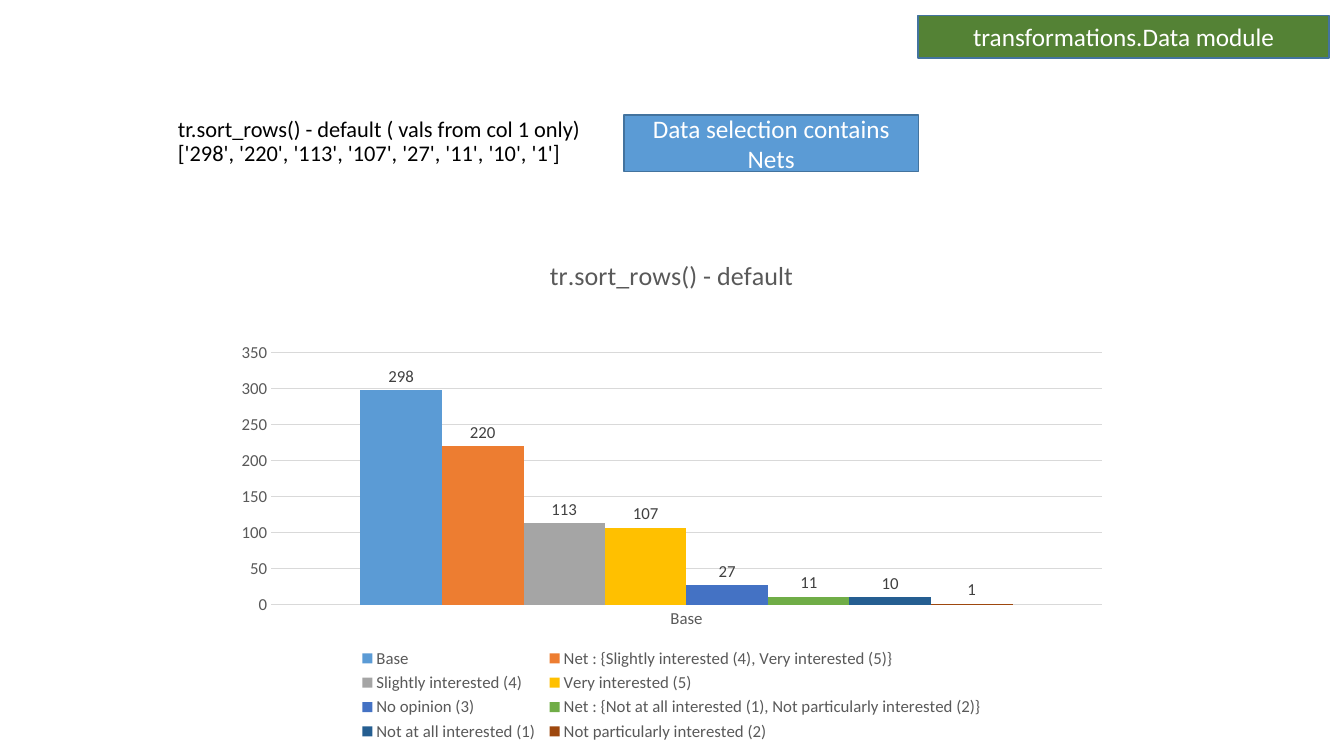
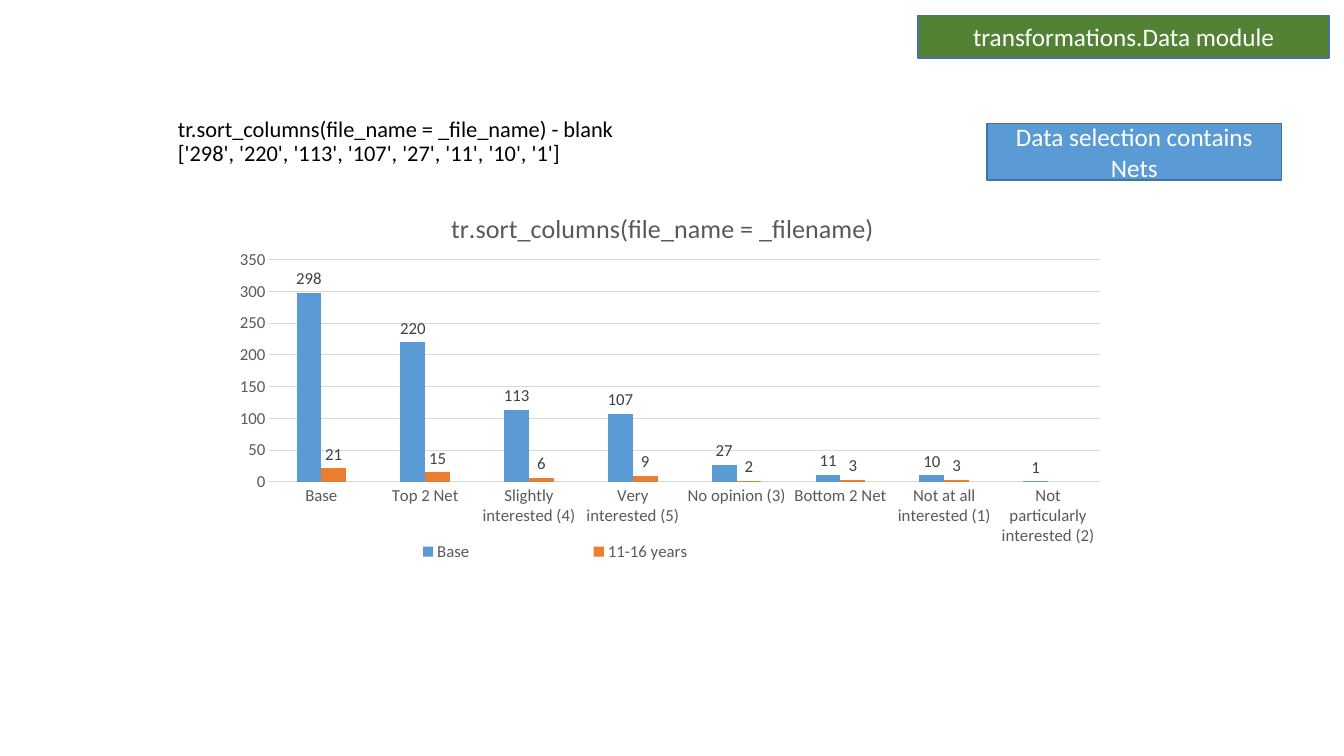
from dataclasses import dataclass
from pptx import Presentation
from pptx.chart.data import CategoryChartData
from pptx.dml.color import RGBColor
from pptx.enum.chart import XL_CHART_TYPE, XL_LABEL_POSITION, XL_LEGEND_POSITION, XL_TICK_MARK
from pptx.enum.shapes import MSO_SHAPE
from pptx.enum.text import MSO_ANCHOR, PP_ALIGN
from pptx.oxml import parse_xml
from pptx.oxml.ns import nsdecls, qn
from pptx.util import Inches, Pt


@dataclass(frozen=True)
class Theme:
    """Colours, type sizes and the font of the deck."""
    face: str = "Calibri"
    ink: str = "000000"
    paper: str = "FFFFFF"
    gray: str = "595959"
    label: str = "404040"
    rule: str = "D9D9D9"
    edge: str = "43739E"
    green: str = "548235"
    blue: str = "5B9BD5"
    bars: tuple = ("5B9BD5", "ED7D31", "A5A5A5", "FFC000",
                   "4472C4", "70AD47", "255E91", "9E480E")
    head: float = 16
    tag: float = 18
    title: float = 18.6
    small: float = 12


THEME = Theme()
WIDE, HIGH = Inches(13.33), Inches(7.5)
HEAD = (12.5, 12.5, 75, 10.13)
BAND = (68.3, 2.05, 30.6, 5.6)
NOTE = (21.9, 7.47)
VALUES = [298, 220, 113, 107, 27, 11, 10, 1]
YOUNG = [21, 15, 6, 9, 2, 3, 3, None]
NAMES = ["Base", "Net : {Slightly interested (4), Very interested (5)}",
         "Slightly interested (4)", "Very interested (5)", "No opinion (3)",
         "Net : {Not at all interested (1), Not particularly interested (2)}",
         "Not at all interested (1)", "Not particularly interested (2)"]
SHORT = [{1: "Top 2 Net", 5: "Bottom 2 Net"}.get(i, name) for i, name in enumerate(NAMES)]
LIST = str([str(value) for value in VALUES])


def place(box):
    """Turn percent shares of the slide into lengths."""
    return [round(share * side / 100) for share, side in zip(box, (WIDE, HIGH) * 2)]


def style(font, size, tint):
    """Set the face, size and colour of a font."""
    font.name, font.size, font.bold = THEME.face, Pt(size), False
    font.color.rgb = RGBColor.from_string(tint)


def write(para, text, size, tint):
    """Add one styled run."""
    run = para.add_run()
    run.text = text
    style(run.font, size, tint)


def add_head(slide, box, lines):
    """Place the heading, one run to a line."""
    frame = slide.shapes.add_textbox(*place(box)).text_frame
    frame.word_wrap = True
    frame.vertical_anchor = MSO_ANCHOR.BOTTOM
    para = frame.paragraphs[0]
    para.line_spacing = 0.9
    for i, line in enumerate(lines):
        if i:
            para.add_line_break()
        write(para, line, THEME.head, THEME.ink)


def add_tag(slide, box, text, fill):
    """Place a filled box with centred text."""
    shape = slide.shapes.add_shape(MSO_SHAPE.RECTANGLE, *place(box))
    shape.shadow.inherit = False
    shape.fill.solid()
    shape.fill.fore_color.rgb = RGBColor.from_string(fill)
    shape.line.color.rgb = RGBColor.from_string(THEME.edge)
    shape.line.width = Pt(1)
    frame = shape.text_frame
    frame.word_wrap = True
    frame.vertical_anchor = MSO_ANCHOR.MIDDLE
    para = frame.paragraphs[0]
    para.alignment = PP_ALIGN.CENTER
    write(para, text, THEME.tag, THEME.paper)


def set_frame(part, slot, area, inner=False):
    """Fix a chart part to an area given in percent of the chart."""
    for old in part.findall(qn("c:layout")):
        part.remove(old)
    target = '<c:layoutTarget val="inner"/>' if inner else ""
    modes = "".join(f'<c:{side}Mode val="edge"/>' for side in "xy")
    sides = "".join(f'<c:{side} val="{share / 100:.3f}"/>' for side, share in zip("xywh", area))
    part.insert(slot, parse_xml(
        f'<c:layout {nsdecls("c")}><c:manualLayout>{target}{modes}{sides}'
        '</c:manualLayout></c:layout>'))


def rule(line):
    """Draw a thin pale line."""
    line.color.rgb = RGBColor.from_string(THEME.rule)
    line.width = Pt(0.75)


def set_axes(chart):
    """Style both axes and the grid."""
    for axis in (chart.category_axis, chart.value_axis):
        axis.major_tick_mark = axis.minor_tick_mark = XL_TICK_MARK.NONE
        style(axis.tick_labels.font, THEME.small, THEME.gray)
    rule(chart.category_axis.format.line)
    scale = chart.value_axis
    scale.format.line.fill.background()
    scale.minimum_scale, scale.maximum_scale, scale.major_unit = 0, 350, 50
    scale.tick_labels.number_format = "0"
    scale.tick_labels.number_format_is_linked = False
    rule(scale.major_gridlines.format.line)


def set_bars(plot):
    """Colour the bars and label their values."""
    plot.gap_width, plot.overlap, plot.vary_by_categories = 219, 0, False
    for bar, tint in zip(plot.series, THEME.bars):
        bar.format.fill.solid()
        bar.format.fill.fore_color.rgb = RGBColor.from_string(tint)
        labels = bar.data_labels
        labels.show_value = True
        labels.position = XL_LABEL_POSITION.OUTSIDE_END
        labels.number_format = "0"
        labels.number_format_is_linked = False
        style(labels.font, THEME.small, THEME.label)


def add_bars(slide, box, title, cats, rows, area, key):
    """Place a column chart with its title and legend."""
    data = CategoryChartData(number_format="0")
    data.categories = cats
    for name, values in rows:
        data.add_series(name, values)
    chart = slide.shapes.add_chart(XL_CHART_TYPE.COLUMN_CLUSTERED, *place(box), data).chart
    style(chart.font, 10, THEME.ink)
    chart.has_title = True
    write(chart.chart_title.text_frame.paragraphs[0], title, THEME.title, THEME.gray)
    set_axes(chart)
    set_bars(chart.plots[0])
    chart.has_legend = True
    legend = chart.legend
    legend.position = XL_LEGEND_POSITION.BOTTOM
    legend.include_in_layout = False
    style(legend.font, THEME.small, THEME.gray)
    set_frame(chart.element.find(".//" + qn("c:plotArea")), 0, area, True)
    set_frame(chart.element.find(".//" + qn("c:legend")), 1, key)


def add_page(deck, lines, note, chart):
    """Build one slide from its heading, note corner and chart."""
    slide = deck.slides.add_slide(deck.slide_layouts[6])
    add_head(slide, HEAD, lines)
    add_tag(slide, BAND, "transformations.Data module", THEME.green)
    add_bars(slide, *chart)
    add_tag(slide, note + NOTE, "Data selection contains Nets", THEME.blue)


def main():
    """Build and save the deck."""
    deck = Presentation()
    deck.slide_width, deck.slide_height = WIDE, HIGH
    add_page(deck, ("tr.sort_rows() - default ( vals from col 1 only)", LIST), (46.43, 15.2),
             ((16.65, 31.33, 66.67, 67.33), "tr.sort_rows() - default", ["Base"],
              [(name, [value]) for name, value in zip(NAMES, VALUES)],
              (5.3, 22.8, 92.7, 49.5), (14.5, 80, 71, 20)))
    add_page(deck, ("tr.sort_columns(file_name = _file_name) - blank", LIST), (73.45, 16.35),
             ((15.98, 25.15, 66.67, 68.8), "tr.sort_columns(file_name = _filename)", SHORT,
              [("Base", VALUES), ("11-16 years", YOUNG)],
              (6.1, 13.4, 92.7, 42.7), (10, 67, 56, 5)))
    deck.save("out.pptx")


if __name__ == "__main__":
    main()
